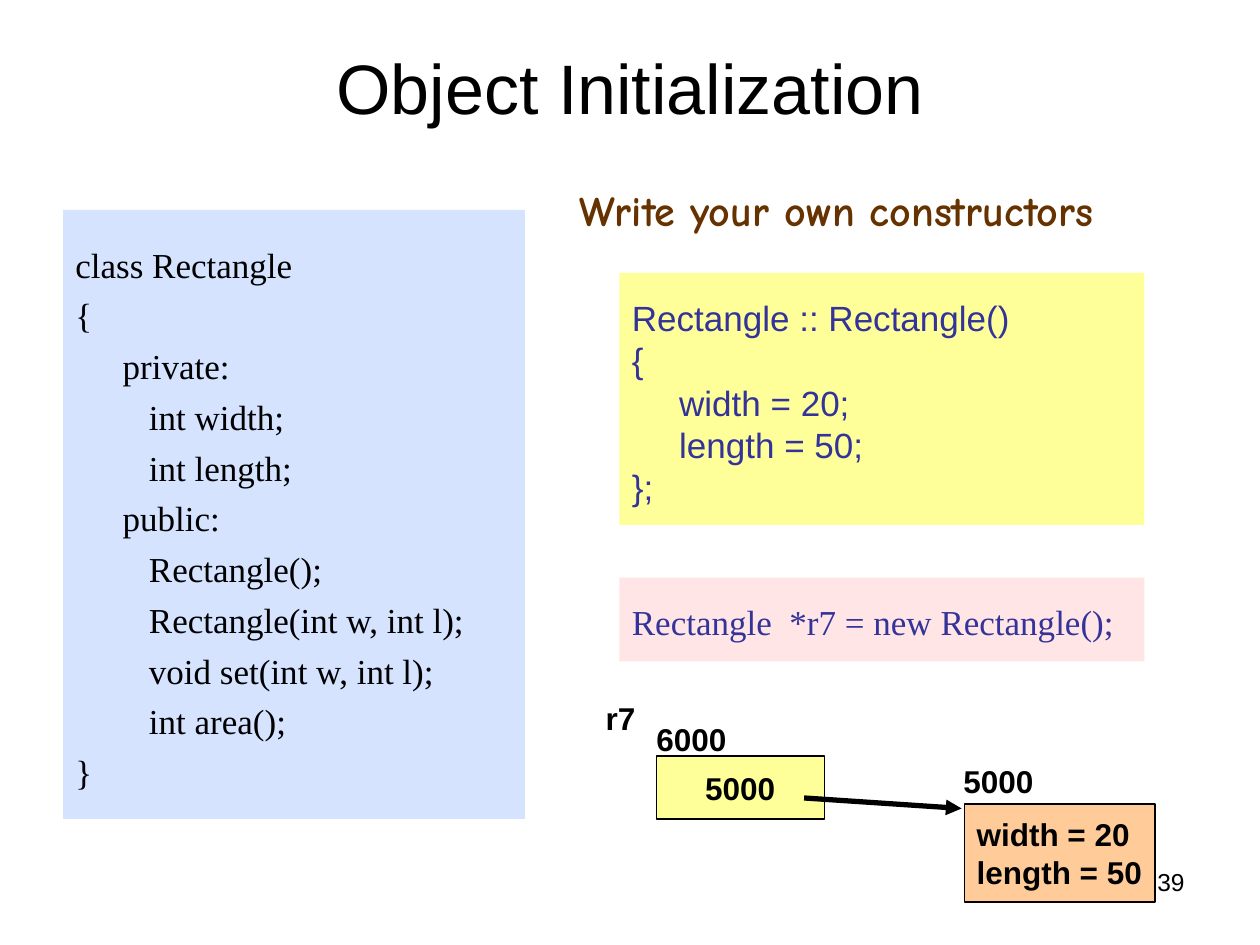
from pptx import Presentation
from pptx.dml.color import RGBColor
from pptx.enum.shapes import MSO_CONNECTOR as Connector, MSO_SHAPE as Shape
from pptx.enum.text import MSO_ANCHOR as Anchor, PP_ALIGN as Align
from pptx.oxml.ns import qn
from pptx.util import Pt
from lxml.etree import SubElement

BLACK = RGBColor(0x00, 0x00, 0x00)
BROWN = RGBColor(0x66, 0x33, 0x00)
INDIGO = RGBColor(0x33, 0x33, 0x99)
BLUE = RGBColor(0xD5, 0xE3, 0xFF)
YELLOW = RGBColor(0xFF, 0xFF, 0x99)
PINK = RGBColor(0xFF, 0xE5, 0xE5)
ORANGE = RGBColor(0xFF, 0xCC, 0x99)

CODE_INDENT = Pt(27)
BOLD_LABEL = {"name": "Arial", "size": Pt(18), "bold": True}

CLASS_CODE = """class Rectangle
{
\tprivate:
\t   int width;
\t   int length;
\tpublic:
\t   Rectangle();
\t   Rectangle(int w, int l);
\t   void set(int w, int l);
\t   int area();
}"""
CONSTRUCTOR_CODE = """Rectangle :: Rectangle()
{
\twidth = 20;
\tlength = 50;
};"""
CALL_CODE = "Rectangle  *r7 = new Rectangle();"


def write(frame, text, font, color=BLACK, align=Align.LEFT):
    frame.text = text
    for para in frame.paragraphs:
        para.alignment = align
        for span in para.runs:
            for key, value in font.items():
                setattr(span.font, key, value)
            span.font.color.rgb = color


def add_label(page, place, text, font, color=BLACK, align=Align.LEFT, wrap=False):
    box = page.shapes.add_textbox(*map(Pt, place))
    box.text_frame.word_wrap = wrap
    write(box.text_frame, text, font, color, align)


def add_rectangle(page, place, fill):
    box = page.shapes.add_shape(Shape.RECTANGLE, *map(Pt, place))
    box.shadow.inherit = False
    box.fill.solid()
    box.fill.fore_color.rgb = fill
    box.line.fill.background()
    return box


def add_code_panel(page, place, fill, code, font_name, color, top, spacing=1.0):
    """Show code whose tabs reach the hanging indent; top is the upper inset."""
    frame = add_rectangle(page, place, fill).text_frame
    frame.word_wrap = True
    frame.vertical_anchor = Anchor.TOP
    frame.margin_top = Pt(top)
    write(frame, code, {"name": font_name, "size": Pt(20)}, color)
    for index, para in enumerate(frame.paragraphs):
        para.line_spacing = spacing
        para.space_before = Pt(5 if index else 0)
        properties = para._p.get_or_add_pPr()
        properties.set("marL", str(CODE_INDENT))
        properties.set("indent", str(-CODE_INDENT))


def add_memory_cell(page, place, fill, text, align):
    box = add_rectangle(page, place, fill)
    box.line.color.rgb = BLACK
    box.line.width = Pt(0.75)
    box.text_frame.word_wrap = False
    box.text_frame.vertical_anchor = Anchor.MIDDLE
    write(box.text_frame, text, BOLD_LABEL, align=align)


def add_pointer(page, start, end):
    arrow = page.shapes.add_connector(Connector.STRAIGHT, *map(Pt, start + end))
    arrow.line.color.rgb = BLACK
    arrow.line.width = Pt(3)
    SubElement(arrow.line._get_or_add_ln(), qn("a:tailEnd"), type="triangle")
    SubElement(arrow._element.spPr, qn("a:effectLst"))


def set_title(page, text):
    title = page.shapes.title
    place = {"left": 36, "top": 21.6, "width": 648, "height": 56}
    for key, value in place.items():
        setattr(title, key, Pt(value))
    title.text_frame.vertical_anchor = Anchor.MIDDLE
    write(title.text_frame, text, {"name": "Arial", "size": Pt(40)}, align=Align.CENTER)


def main():
    deck = Presentation()
    deck.slide_width, deck.slide_height = Pt(720), Pt(540)
    page = deck.slides.add_slide(deck.slide_layouts[5])

    set_title(page, "Object Initialization")
    add_label(page, (516, 492, 168, 37.5), "39",
              {"name": "Arial", "size": Pt(14)}, align=Align.RIGHT, wrap=True)
    add_label(page, (324, 102, 349, 36), "Write your own constructors",
              {"name": "Comic Neue", "size": Pt(24), "bold": True}, BROWN)

    add_code_panel(page, (36, 120, 264, 348), BLUE, CLASS_CODE,
                   "Times New Roman", BLACK, top=19)
    add_code_panel(page, (354, 156, 300, 144), YELLOW, CONSTRUCTOR_CODE,
                   "Arial", INDIGO, top=18, spacing=0.8)
    add_code_panel(page, (354, 330, 300, 48), PINK, CALL_CODE,
                   "Times New Roman", INDIGO, top=18, spacing=0.8)

    add_memory_cell(page, (551, 459.5, 109, 56), ORANGE,
                    "width = 20\nlength = 50", Align.LEFT)
    add_memory_cell(page, (375, 432, 96, 36), YELLOW, "5000", Align.CENTER)
    for text, place in (
        ("5000", (543.5, 432, 55, 29)),
        ("r7", (339, 396, 32, 29)),
        ("6000", (368, 408, 55, 29)),
    ):
        add_label(page, place, text, BOLD_LABEL)
    add_pointer(page, (459.5, 456), (549.5, 462))

    deck.save("out.pptx")


if __name__ == "__main__":
    main()
